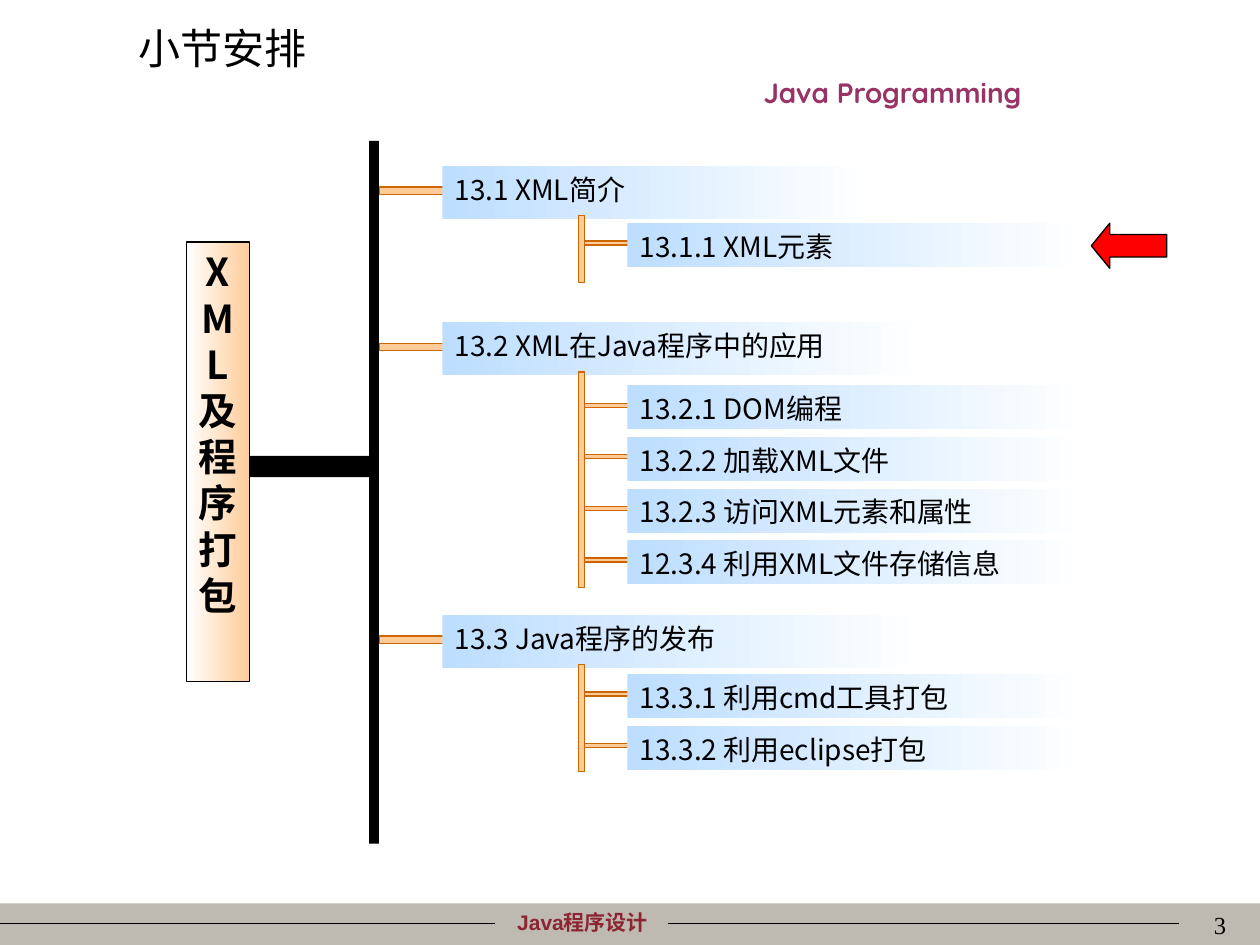
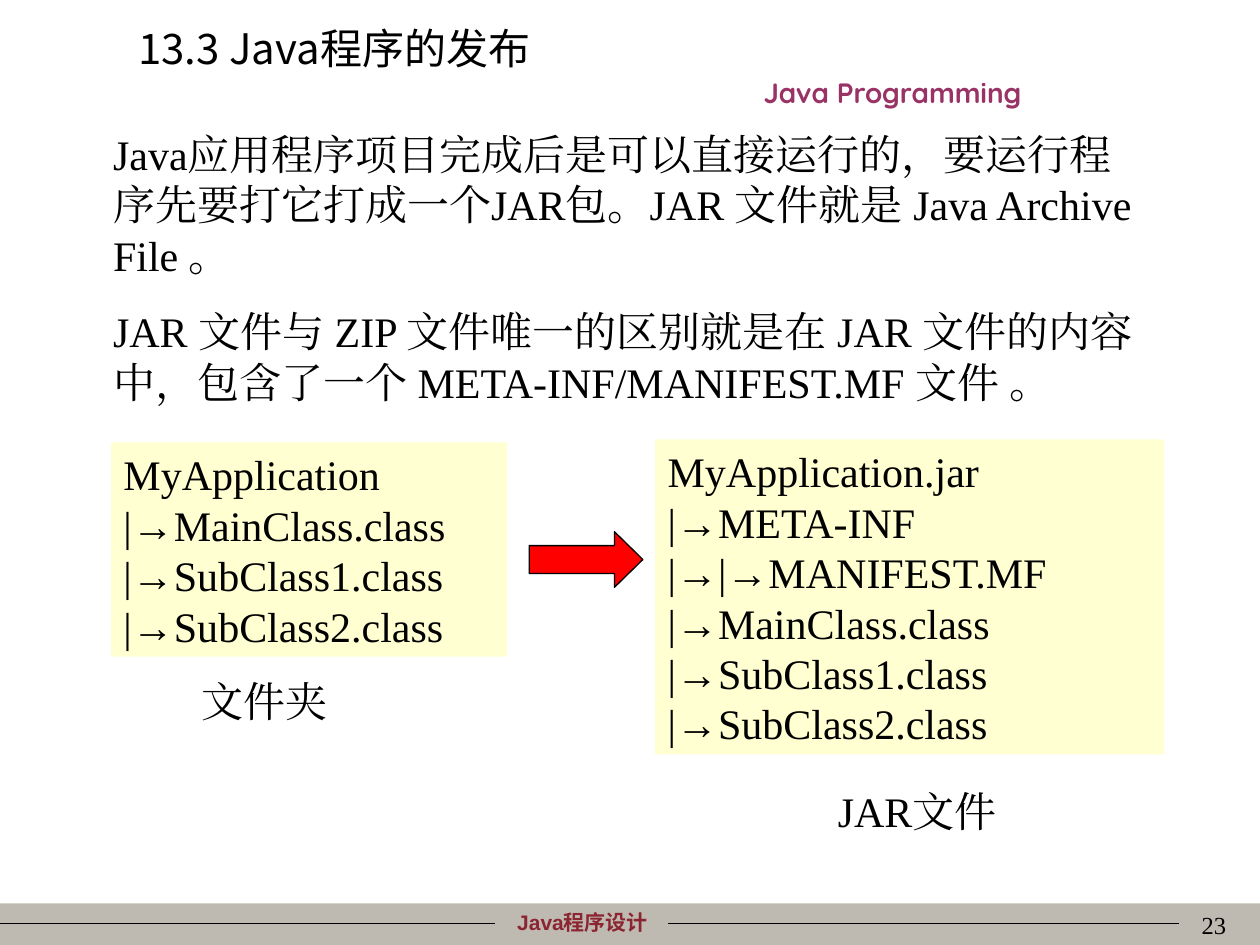
"""Build two slides on XML and on packing Java programs."""

from dataclasses import dataclass
from typing import Optional

from lxml.etree import SubElement
from pptx import Presentation
from pptx.dml.color import RGBColor
from pptx.enum.shapes import MSO_CONNECTOR as Link, MSO_SHAPE as Kind
from pptx.enum.text import MSO_ANCHOR as Anchor, PP_ALIGN as Align
from pptx.oxml.ns import qn
from pptx.util import Cm, Pt

BLACK = RGBColor(0x00, 0x00, 0x00)
WHITE = RGBColor(0xFF, 0xFF, 0xFF)
GRAY = RGBColor(0xBF, 0xBA, 0xB1)
WINE = RGBColor(0x8C, 0x25, 0x32)
PLUM = RGBColor(0x99, 0x33, 0x66)
PEACH = RGBColor(0xFF, 0xCC, 0x99)
RUST = RGBColor(0xCC, 0x66, 0x00)
SKY = RGBColor(0xBD, 0xDE, 0xFF)
CREAM = RGBColor(0xFF, 0xFF, 0xD2)
RED = RGBColor(0xFF, 0x00, 0x00)
SANS, SERIF = "Noto Sans CJK SC", "Times New Roman"


@dataclass(frozen=True)
class Box:
    """Place and size in centimetres."""

    left: float
    top: float
    width: float
    height: float

    def cm(self) -> tuple:
        """Give the four lengths."""
        return Cm(self.left), Cm(self.top), Cm(self.width), Cm(self.height)


@dataclass(frozen=True)
class Style:
    """Look of a text."""

    name: str
    size: float
    color: RGBColor = BLACK
    bold: bool = False
    align: Align = Align.LEFT
    gap: float = 0


@dataclass(frozen=True)
class Part:
    """A chapter part with its topics."""

    name: str
    top: float
    width: float
    first: float
    stem: float
    topics: tuple


TITLE = Style(SANS, 24)
TOPIC = Style(SANS, 16)
ROOT = Style(SANS, 22, bold=True, align=Align.CENTER)
BODY = Style(SERIF, 24, gap=15)
CODE = Style(SERIF, 24)
FOOT = Style("Arial", 12, WINE, True, Align.CENTER)
BRAND = Style("Quicksand", 16, PLUM, True, Align.CENTER)
NUMBER = Style(SERIF, 14, align=Align.RIGHT)

STEP = 1.04
PARTS = (
    Part("13.1 XML简介", 3.35, 8.66, 4.5, 1.35, ("13.1.1 XML元素",)),
    Part("13.2 XML在Java程序中的应用", 6.5, 9.73, 7.77, 4.34,
         ("13.2.1 DOM编程", "13.2.2 加载XML文件",
          "13.2.3 访问XML元素和属性", "12.3.4 利用XML文件存储信息")),
    Part("13.3 Java程序的发布", 12.4, 9.73, 13.59, 2.16,
         ("13.3.1 利用cmd工具打包", "13.3.2 利用eclipse打包")),
)
INTRO = (
    "Java应用程序项目完成后是可以直接运行的，要运行程序先要打它打成一个JAR包。"
    "JAR 文件就是 Java Archive File 。",
    "JAR 文件与 ZIP 文件唯一的区别就是在 JAR 文件的内容中，"
    "包含了一个 META-INF/MANIFEST.MF 文件 。",
)
FILES = ("|→MainClass.class", "|→SubClass1.class", "|→SubClass2.class")
FOLDER = ("MyApplication", *FILES)
JAR = ("MyApplication.jar", "|→META-INF", "|→|→MANIFEST.MF", *FILES)


def apply(target, values: dict) -> None:
    """Set each named value on the target."""
    for name, value in values.items():
        setattr(target, name, value)


def write(shape, lines: tuple, style: Style) -> None:
    """Fill a shape with styled paragraphs."""
    frame = shape.text_frame
    apply(frame, {
        "word_wrap": True, "vertical_anchor": Anchor.TOP,
        "margin_left": Cm(0.25), "margin_right": Cm(0.25),
        "margin_top": Cm(0.13), "margin_bottom": Cm(0.13),
    })
    for i, line in enumerate(lines):
        par = frame.add_paragraph() if i else frame.paragraphs[0]
        apply(par, {"alignment": style.align,
                    "line_spacing": Pt(1.2 * style.size)})
        if i and style.gap:
            par.space_before = Pt(style.gap)
        run = par.add_run()
        run.text = line
        apply(run.font, {"name": style.name, "size": Pt(style.size),
                         "bold": style.bold})
        run.font.color.rgb = style.color
        east = SubElement(run.font._element, qn("a:ea"))
        east.set("typeface", style.name)


def label(slide, box: Box, style: Style, *lines: str) -> None:
    """Add a text box."""
    write(slide.shapes.add_textbox(*box.cm()), lines, style)


def block(slide, box: Box, fill: RGBColor, fade: Optional[RGBColor] = None,
          edge: Optional[RGBColor] = None, kind: Kind = Kind.RECTANGLE):
    """Add a filled shape, with a fade to the right if asked."""
    shape = slide.shapes.add_shape(kind, *box.cm())
    shape.shadow.inherit = False
    if fade is None:
        shape.fill.solid()
        shape.fill.fore_color.rgb = fill
    else:
        shape.fill.gradient()
        shape.fill.gradient_angle = 0
        for stop, color in zip(shape.fill.gradient_stops, (fill, fade)):
            stop.color.rgb = color
    if edge is None:
        shape.line.fill.background()
    else:
        shape.line.color.rgb = edge
        shape.line.width = Pt(0.75)
    return shape


def arrow(slide, box: Box, kind: Kind, head: float) -> None:
    """Add a red block arrow."""
    shape = block(slide, box, RED, edge=BLACK, kind=kind)
    shape.adjustments[0], shape.adjustments[1] = 0.5, head


def twig(slide, *place: float) -> None:
    """Add a thin peach bar of the tree."""
    block(slide, Box(*place), PEACH, edge=RUST)


def rule(slide, start: float, end: float) -> None:
    """Add a footer line."""
    y = Cm(18.62)
    line = slide.shapes.add_connector(Link.STRAIGHT, Cm(start), y, Cm(end), y)
    line.line.color.rgb = BLACK
    line.line.width = Pt(0.75)
    SubElement(line._element.spPr, qn("a:effectLst"))


def start(deck, title: str, number: int):
    """Add a slide with its shared parts."""
    slide = deck.slides.add_slide(deck.slide_layouts[6])
    block(slide, Box(0, 18.21, 25.4, 0.84), GRAY)
    label(slide, Box(9.19, 18.21, 5.11, 0.76), FOOT, "Java程序设计")
    rule(slide, 0, 9.98)
    rule(slide, 13.46, 23.77)
    label(slide, Box(12.9, 1.4, 10.19, 0.94), BRAND, "Java Programming")
    label(slide, Box(19.69, 18.21, 5.28, 1.27), NUMBER, str(number))
    label(slide, Box(2.54, 0.33, 12.4, 1.27), TITLE, title)
    return slide


def branch(slide, part: Part) -> None:
    """Draw one part of the tree with its topics."""
    twig(slide, 7.65, part.top + 0.42, 1.3, 0.15)
    head = Box(8.92, part.top, part.width, 1.07)
    write(block(slide, head, SKY, WHITE), (part.name,), TOPIC)
    for i, topic in enumerate(part.topics):
        top = part.first + i * STEP
        twig(slide, 11.71, top + 0.36, 1.3, 0.08)
        leaf = Box(12.65, top, 9.27, 0.89)
        write(block(slide, leaf, SKY, WHITE), (topic,), TOPIC)
    twig(slide, 11.66, part.top + 1, 0.13, part.stem)


def outline(deck) -> None:
    """Draw the chapter tree."""
    slide = start(deck, "小节安排", 3)
    root = block(slide, Box(3.76, 4.88, 1.27, 8.86), WHITE, PEACH, BLACK)
    write(root, ("XML及程序打包",), ROOT)
    block(slide, Box(5.03, 9.19, 2.54, 0.43), BLACK)
    for part in PARTS:
        branch(slide, part)
    block(slide, Box(7.44, 2.84, 0.2, 14.17), BLACK)
    arrow(slide, Box(22, 4.5, 1.52, 0.91), Kind.LEFT_ARROW, 0.41)


def release(deck) -> None:
    """Show how a folder becomes a JAR file."""
    slide = start(deck, "13.3 Java程序的发布", 23)
    label(slide, Box(2.03, 2.46, 21.46, 5.87), BODY, *INTRO)
    write(block(slide, Box(2.24, 8.92, 7.98, 4.32), CREAM), FOLDER, CODE)
    write(block(slide, Box(13.21, 8.86, 10.26, 6.35), CREAM), JAR, CODE)
    arrow(slide, Box(10.67, 10.72, 2.29, 1.12), Kind.RIGHT_ARROW, 0.51)
    label(slide, Box(3.81, 13.49, 4.39, 1.27), BODY, "文件夹")
    label(slide, Box(16.64, 15.7, 4.39, 1.27), BODY, "JAR文件")


def main() -> None:
    """Build and save the deck."""
    deck = Presentation()
    apply(deck, {"slide_width": Cm(25.4), "slide_height": Cm(19.05)})
    outline(deck)
    release(deck)
    deck.save("out.pptx")


if __name__ == "__main__":
    main()
